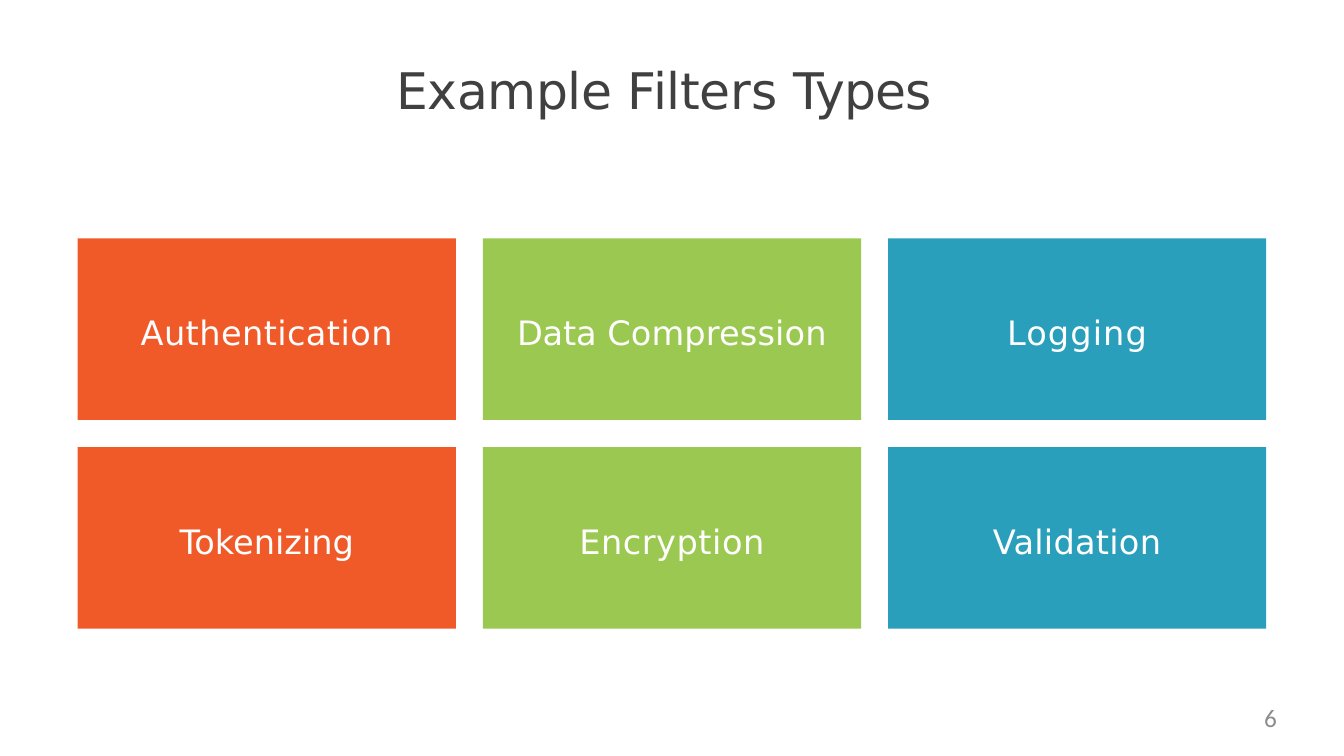
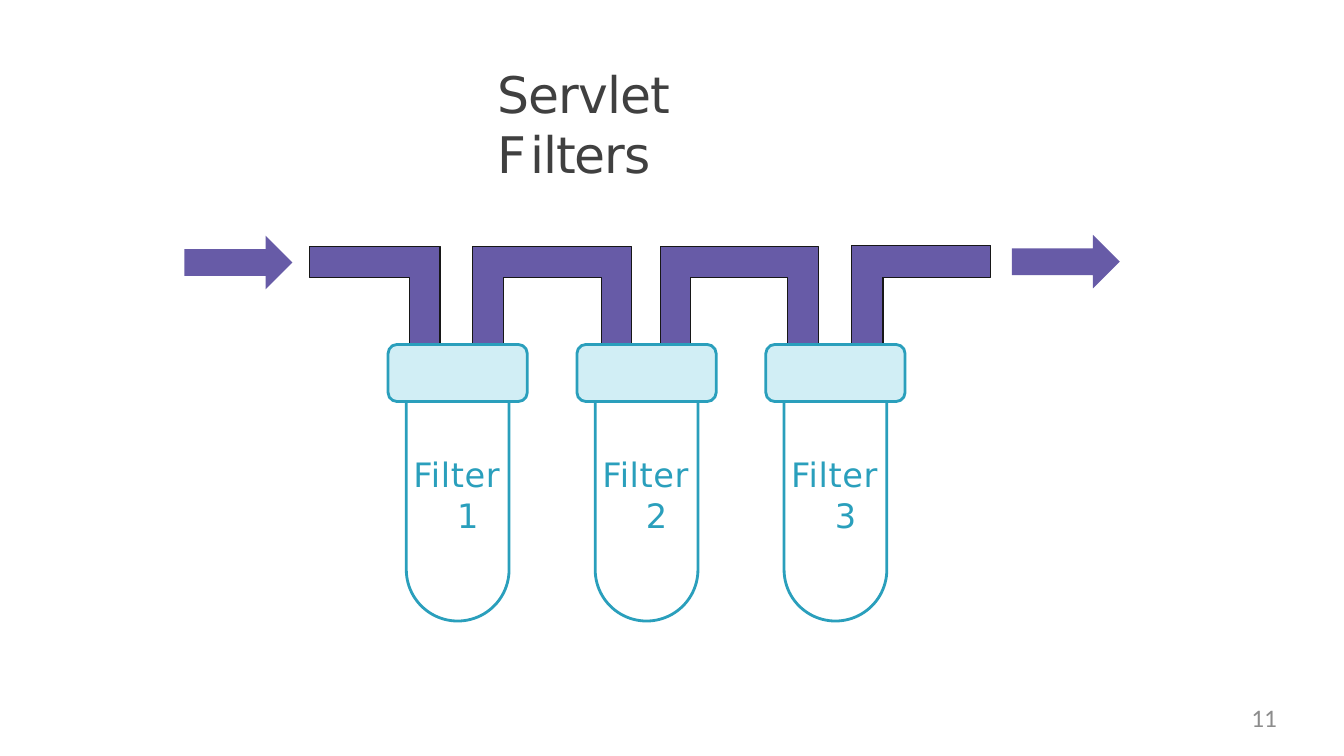
from dataclasses import dataclass
from typing import Any, Optional, Sequence

from pptx import Presentation
from pptx import util as u
from pptx.dml.color import RGBColor
from pptx.enum import shapes, text

WHITE = RGBColor(0xFF, 0xFF, 0xFF)
ORANGE = RGBColor(0xF0, 0x5A, 0x28)
GREEN = RGBColor(0x9B, 0xC8, 0x50)
TEAL = RGBColor(0x2A, 0x9F, 0xBC)
PALE = RGBColor(0xD1, 0xEE, 0xF5)
PURPLE = RGBColor(0x67, 0x5B, 0xA7)
INK = RGBColor(0x17, 0x17, 0x17)
DARK = RGBColor(0x40, 0x40, 0x40)
GREY = RGBColor(0x8C, 0x8C, 0x8C)

SANS = "DejaVu Sans"
KIND = shapes.MSO_SHAPE
ALIGN = text.PP_ALIGN
ANCHOR = text.MSO_ANCHOR


@dataclass(frozen=True)
class Box:
    left: float
    top: float
    width: float
    height: float

    def place(self) -> tuple[u.Length, ...]:
        return u.Cm(self.left), u.Cm(self.top), u.Cm(self.width), u.Cm(self.height)


@dataclass(frozen=True)
class Word:
    text: str
    space: float = 0


@dataclass(frozen=True)
class Tile:
    words: tuple[Word, ...]
    col: int
    row: int


@dataclass(frozen=True)
class Pipe:
    left: float
    right: float
    legs: str
    top: float = 6.2
    fill: Optional[RGBColor] = PURPLE


TILE_FILLS = (ORANGE, GREEN, TEAL)
TILES = (
    Tile((Word("Authentication", 0.3),), 0, 0),
    Tile((Word("Data ", -0.1), Word("Compression", 0.1)), 1, 0),
    Tile((Word("Logging", 0.8),), 2, 0),
    Tile((Word("Tokenizing"),), 0, 1),
    Tile((Word("Encryption", 0.4),), 1, 1),
    Tile((Word("Validation", 0.2),), 2, 1),
)
PIPES = (
    Pipe(7.82, 11.1, "R", fill=None),
    Pipe(7.8, 11.08, "R"),
    Pipe(11.91, 15.92, "LR"),
    Pipe(16.64, 20.62, "LR"),
    Pipe(21.49, 24.77, "L", fill=None),
    Pipe(21.46, 24.97, "L", top=6.18),
)
ARROWS = (Box(4.65, 5.94, 2.72, 1.35), Box(25.5, 5.92, 2.72, 1.35))


def write(
    shape: Any,
    words: Sequence[Word],
    *,
    size: float = 24,
    color: RGBColor = WHITE,
    font: str = SANS,
    align: ALIGN = ALIGN.LEFT,
    anchor: ANCHOR = ANCHOR.TOP,
    top: float = 0,
    right: float = 0,
    before: float = 0,
    lines: float = 1,
    hang: tuple[float, float] = (0, 0),
) -> None:
    frame = shape.text_frame
    frame.word_wrap = True
    frame.auto_size = text.MSO_AUTO_SIZE.NONE
    frame.vertical_anchor = anchor
    frame.margin_left = frame.margin_bottom = 0
    frame.margin_top, frame.margin_right = u.Cm(top), u.Cm(right)
    para = frame.paragraphs[0]
    para.alignment = align
    para.space_before = u.Pt(before)
    para.line_spacing = lines
    props = para._p.get_or_add_pPr()
    props.set("marL", str(u.Cm(hang[0])))
    props.set("indent", str(u.Cm(hang[1])))
    for word in words:
        run = para.add_run()
        run.text = word.text
        run.font.name = font
        run.font.size = u.Pt(size)
        run.font.color.rgb = color
        run._r.get_or_add_rPr().set("spc", str(round(word.space * 100)))


def paint(
    shape: Any, fill: Optional[RGBColor], line: Optional[RGBColor] = None, width: float = 2
) -> None:
    shape.shadow.inherit = False
    if fill is None:
        shape.fill.background()
    else:
        shape.fill.solid()
        shape.fill.fore_color.rgb = fill
    if line is None:
        shape.line.fill.background()
    else:
        shape.line.color.rgb = line
        shape.line.width = u.Pt(width)


def add_slide(deck: Any, title: Sequence[Word], box: Box, page: str, right: float = 0) -> Any:
    slide = deck.slides.add_slide(deck.slide_layouts[5])
    head = slide.shapes.title
    head.left, head.top, head.width, head.height = box.place()
    write(head, title, size=36, color=DARK, top=0.05, right=right, before=1, hang=(0.03, 0))
    foot = slide.shapes.add_textbox(*Box(24.38, 17.7, 7.8, 0.97).place())
    write(foot, [Word(page)], size=18, color=GREY, font="Calibri", align=ALIGN.RIGHT)
    return slide


def draw_tile(slide: Any, tile: Tile) -> None:
    box = Box(1.96 + 10.21 * tile.col, 6.01 + 5.26 * tile.row, 9.53, 4.57)
    shape = slide.shapes.add_shape(KIND.RECTANGLE, *box.place())
    paint(shape, TILE_FILLS[tile.col])
    write(shape, tile.words, align=ALIGN.CENTER, anchor=ANCHOR.MIDDLE, top=0.14)


def draw_pipe(slide: Any, pipe: Pipe) -> None:
    left, right, top = pipe.left, pipe.right, pipe.top
    inner, base, leg = top + 0.8, top + 3.3, 0.77
    points = [(left, top), (right, top)]
    if "R" in pipe.legs:
        points += [(right, base), (right - leg, base), (right - leg, inner)]
    else:
        points += [(right, inner)]
    if "L" in pipe.legs:
        points += [(left + leg, inner), (left + leg, base), (left, base)]
    else:
        points += [(left, inner)]
    spots = [(u.Cm(x), u.Cm(y)) for x, y in points]
    form = slide.shapes.build_freeform(*spots[0])
    form.add_line_segments(spots[1:], close=True)
    paint(form.convert_to_shape(), pipe.fill, INK, 0.5)


def draw_filter(slide: Any, index: int) -> None:
    left = 10.24 + 4.76 * index
    tube = slide.shapes.add_shape(
        KIND.ROUND_2_SAME_RECTANGLE, *Box(left, 10.11, 2.59, 5.54).place()
    )
    tube.adjustments[0], tube.adjustments[1] = 0, 0.5
    paint(tube, None, TEAL)
    cap = slide.shapes.add_shape(
        KIND.ROUNDED_RECTANGLE, *Box(left - 0.46, 8.68, 3.51, 1.44).place()
    )
    cap.adjustments[0] = 0.16
    paint(cap, PALE, TEAL)
    label = slide.shapes.add_textbox(*Box(left + 0.15, 11.4, 2.31, 2.11).place())
    write(
        label,
        [Word("Filter ", 0.45), Word(str(index + 1))],
        color=TEAL,
        top=0.03,
        before=0.8,
        lines=1.01,
        hang=(1.13, -1.1),
    )


def main() -> None:
    deck = Presentation()
    deck.slide_width, deck.slide_height = u.Cm(33.87), u.Cm(19.05)

    title = [Word("Example ", -0.3), Word("Filters ", -0.2), Word("Types", -0.6)]
    types = add_slide(deck, title, Box(9.96, 1.45, 13.69, 1.6), "6")
    for tile in TILES:
        draw_tile(types, tile)

    title = [Word("Servlet ", -0.6), Word("F", 2.9), Word("ilters", -0.7)]
    chain = add_slide(deck, title, Box(12.5, 1.54, 8.64, 1.6), "11", right=2)
    for pipe in PIPES:
        draw_pipe(chain, pipe)
    for box in ARROWS:
        paint(chain.shapes.add_shape(KIND.RIGHT_ARROW, *box.place()), PURPLE)
    for index in range(3):
        draw_filter(chain, index)

    deck.save("out.pptx")


if __name__ == "__main__":
    main()
